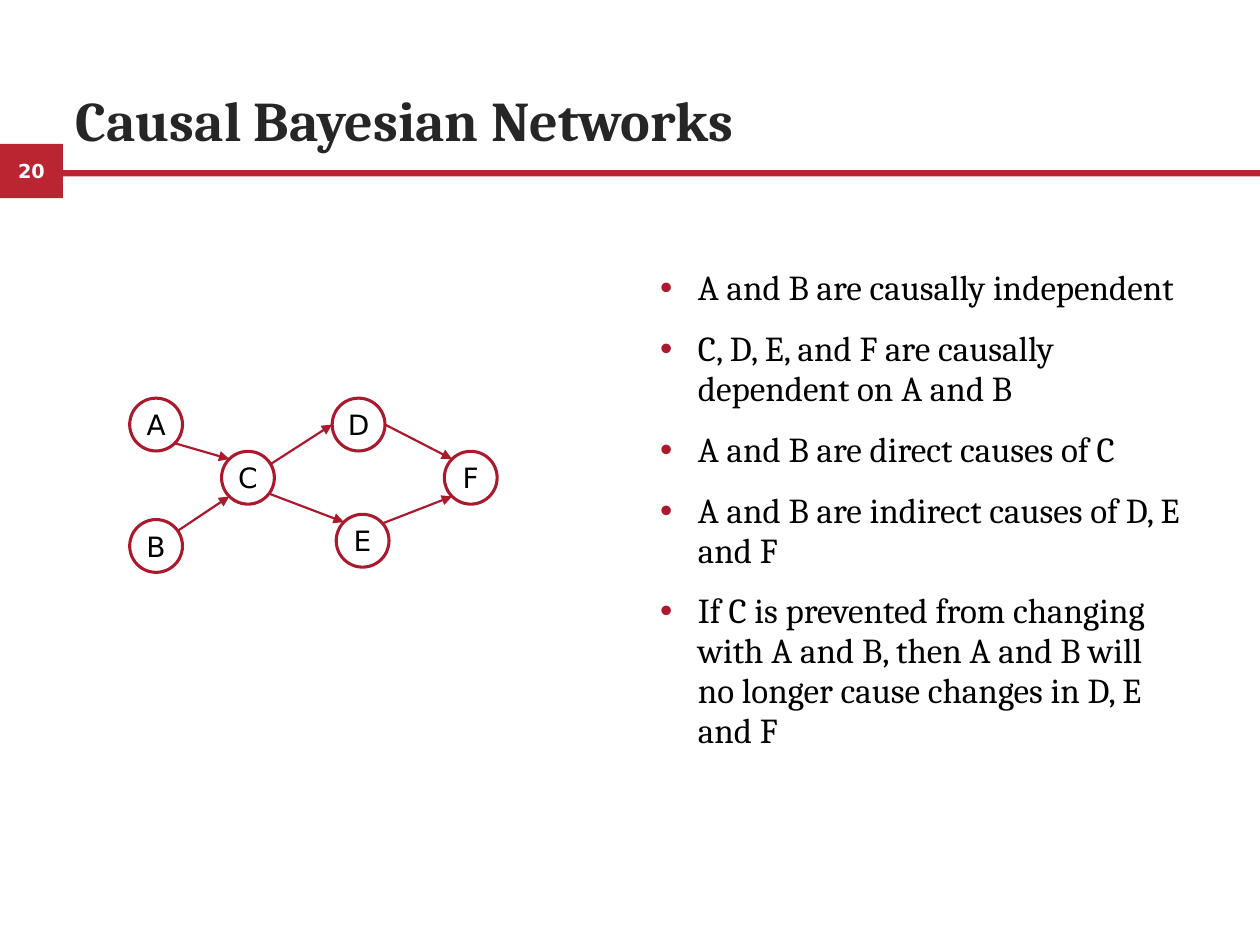
from math import cos, radians, sin
from lxml.etree import SubElement
from pptx import Presentation
from pptx.dml.color import RGBColor
from pptx.enum.shapes import MSO_CONNECTOR, MSO_SHAPE
from pptx.enum.text import MSO_ANCHOR, MSO_AUTO_SIZE, PP_ALIGN
from pptx.oxml.ns import qn
from pptx.util import Pt

TITLE = "Causal Bayesian Networks"
POINTS = [
    "A and B are causally independent",
    "C, D, E, and F are causally dependent on A and B",
    "A and B are direct causes of C",
    "A and B are indirect causes of D, E and F",
    "If C is prevented from changing with A and B, then A and B will no longer cause changes in D, E and F",
]
NODES = {
    "A": (89.2, 242.6), "B": (89.2, 312), "C": (141.7, 273),
    "D": (204.9, 242.6), "E": (207.2, 309), "F": (269, 273),
}
LINKS = [
    ("A", 45, "C", 225), ("B", -35, "C", 135), ("C", -31, "D", 180),
    ("C", 37, "E", 225), ("D", 0, "F", 225), ("E", -41, "F", 135),
]
RADIUS = 15.1
RED, WINE = "BB2532", "AB192D"
FONTS = {
    "title": {"name": "Cambria", "size": Pt(32), "bold": True},
    "body": {"name": "Cambria", "size": Pt(20), "bold": False},
    "node": {"name": "DejaVu Sans", "size": Pt(16), "bold": False},
    "page": {"name": "DejaVu Sans", "size": Pt(11), "bold": True},
}
PARA = {"line_spacing": 0.95, "space_before": Pt(12), "space_after": Pt(0)}


def color(target, code):
    target.rgb = RGBColor.from_string(code)


def apply(target, values):
    for key, value in values.items():
        setattr(target, key, value)


def place(shape, left, top, width, height):
    apply(shape, {"left": Pt(left), "top": Pt(top),
                  "width": Pt(width), "height": Pt(height)})


def write(para, text, style, code):
    run = para.add_run()
    run.text = text
    apply(run.font, FONTS[style])
    color(run.font.color, code)


def draw(slide, kind, box, fill, edge=None):
    shape = slide.shapes.add_shape(kind, *map(Pt, box))
    shape.shadow.inherit = False
    shape.fill.solid()
    color(shape.fill.fore_color, fill)
    if edge:
        color(shape.line.color, edge)
        shape.line.width = Pt(1.75)
    else:
        shape.line.fill.background()
    return shape


def label(shape, text, style, code):
    frame = shape.text_frame
    apply(frame, {"word_wrap": False, "vertical_anchor": MSO_ANCHOR.MIDDLE,
                  "margin_left": 0, "margin_right": 0,
                  "margin_top": 0, "margin_bottom": 0})
    para = frame.paragraphs[0]
    para.alignment = PP_ALIGN.CENTER
    write(para, text, style, code)


def bullet(para):
    props = para._p.get_or_add_pPr()
    props.set("marL", str(Pt(21.6)))
    props.set("indent", str(-Pt(21.6)))
    tint = SubElement(props, qn("a:buClr"))
    SubElement(tint, qn("a:srgbClr")).set("val", WINE)
    SubElement(props, qn("a:buFont")).set("typeface", "Arial")
    SubElement(props, qn("a:buChar")).set("char", "•")


def rim(name, angle):
    x, y = NODES[name]
    turn = radians(angle)
    return Pt(x + RADIUS * cos(turn)), Pt(y + RADIUS * sin(turn))


def arrow(slide, start, end):
    link = slide.shapes.add_connector(MSO_CONNECTOR.STRAIGHT, *start, *end)
    color(link.line.color, WINE)
    link.line.width = Pt(1.25)
    SubElement(link.line._get_or_add_ln(), qn("a:tailEnd")).set("type", "triangle")
    SubElement(link._element.spPr, qn("a:effectLst"))


def main():
    deck = Presentation()
    deck.slide_width, deck.slide_height = Pt(720), Pt(540)
    slide = deck.slides.add_slide(deck.slide_layouts[1])
    title, body = slide.placeholders

    page = draw(slide, MSO_SHAPE.RECTANGLE, (0, 82.3, 36, 31), RED)
    label(page, "20", "page", "FFFFFF")
    draw(slide, MSO_SHAPE.RECTANGLE, (36, 97.2, 684, 3.6), RED)

    place(title, 36, 27.4, 648, 63.4)
    apply(title.text_frame, {"vertical_anchor": MSO_ANCHOR.BOTTOM,
                             "auto_size": MSO_AUTO_SIZE.NONE})
    head = title.text_frame.paragraphs[0]
    head.alignment = PP_ALIGN.LEFT
    write(head, TITLE, "title", "262626")

    place(body, 370, 149.8, 313.2, 318.2)
    frame = body.text_frame
    frame.auto_size = MSO_AUTO_SIZE.NONE
    for i, text in enumerate(POINTS):
        para = frame.add_paragraph() if i else frame.paragraphs[0]
        apply(para, PARA)
        bullet(para)
        write(para, text, "body", "000000")

    for name, (x, y) in NODES.items():
        box = (x - RADIUS, y - RADIUS, 2 * RADIUS, 2 * RADIUS)
        node = draw(slide, MSO_SHAPE.OVAL, box, "FFFFFF", WINE)
        label(node, name, "node", "000000")
    for source, out, target, into in LINKS:
        arrow(slide, rim(source, out), rim(target, into))

    deck.save("out.pptx")


if __name__ == "__main__":
    main()
